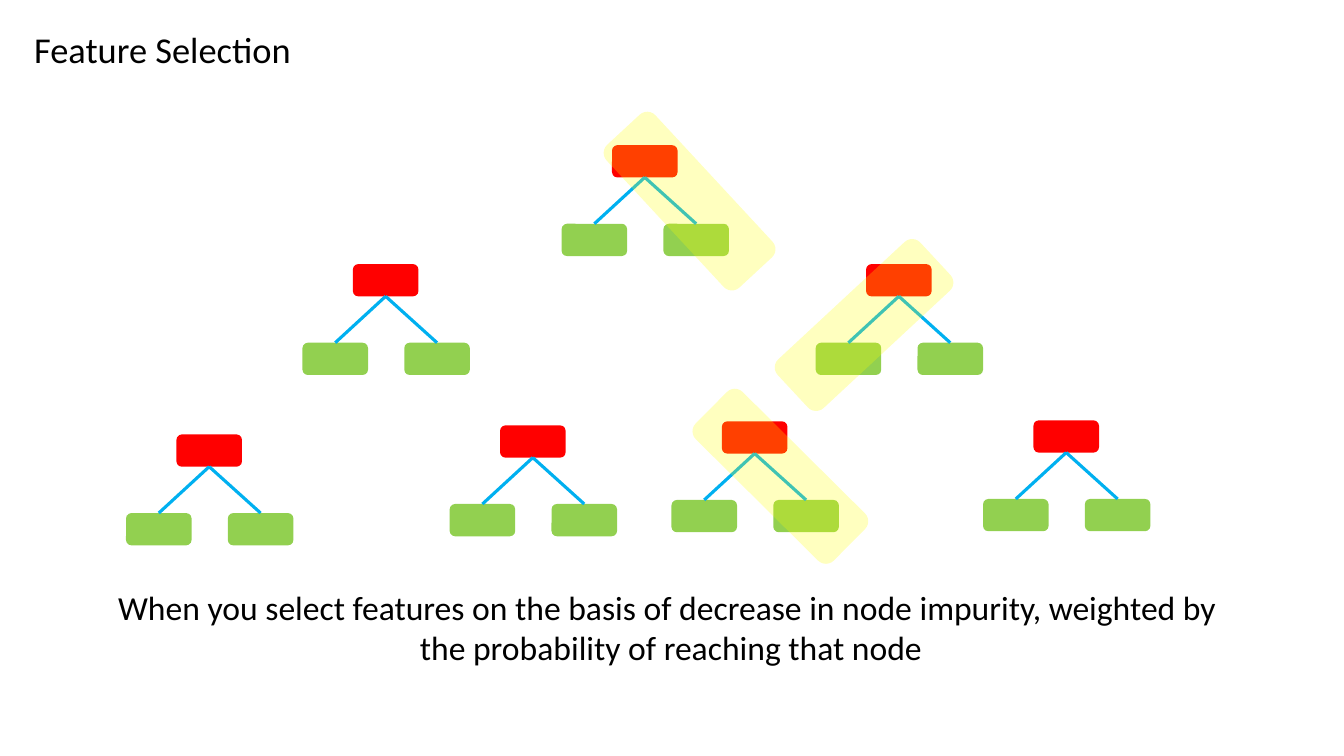
from lxml import etree
from pptx import Presentation
from pptx.dml.color import RGBColor
from pptx.enum.shapes import MSO_CONNECTOR, MSO_SHAPE
from pptx.enum.text import MSO_AUTO_SIZE, PP_ALIGN
from pptx.oxml.ns import qn
from pptx.util import Inches, Pt

ROUNDED, STRAIGHT = MSO_SHAPE.ROUNDED_RECTANGLE, MSO_CONNECTOR.STRAIGHT
LEFT, CENTER = PP_ALIGN.LEFT, PP_ALIGN.CENTER
TOP_SITE, BOTTOM_SITE = 0, 2

TITLE = "Feature Selection"
CAPTION = ("When you select features on the basis of decrease in node impurity, weighted by \v"
           "the probability of reaching that node")

# Left and top of each tree's root node, in inches
TREE_ROOTS = [(6.07, 1.44),
              (3.5, 2.62), (8.59, 2.62),
              (4.96, 4.22), (7.16, 4.18), (1.75, 4.31), (10.25, 4.17)]
# Left, top and rotation of each highlighted branch
HIGHLIGHTS = [(6.51, 1.03, 317.2), (8.24, 2.26, 47.1), (7.41, 3.76, 314.8)]

NODE_SIZE = (0.65, 0.32)
HIGHLIGHT_SIZE = (0.66, 1.93)
LEAF_SHIFTS = (-0.5, 0.51)
LEAF_DROP = 0.78
ROOT_COLOR, LEAF_COLOR = "FF0000", "92D050"
BRANCH_COLOR, HIGHLIGHT_COLOR = "00B0F0", "FFFF00"
HIGHLIGHT_OPACITY = 25


def color(hex_code):
    return RGBColor.from_string(hex_code)


def add_text(slide, text, left, top, width, height, size, align=LEFT):
    box = slide.shapes.add_textbox(*map(Inches, (left, top, width, height)))
    frame = box.text_frame
    frame.word_wrap = False
    frame.auto_size = MSO_AUTO_SIZE.SHAPE_TO_FIT_TEXT
    paragraph = frame.paragraphs[0]
    paragraph.text = text
    paragraph.alignment = align
    for run in paragraph.runs:
        run.font.name = "Calibri"
        run.font.size = Pt(size)
        run.font.color.rgb = color("000000")


def add_rounded(shapes, left, top, size, fill):
    box = shapes.add_shape(ROUNDED, *map(Inches, (left, top, *size)))
    box.shadow.inherit = False
    box.fill.solid()
    box.fill.fore_color.rgb = color(fill)
    box.line.fill.background()
    return box


def add_branch(shapes, root, leaf):
    branch = shapes.add_connector(STRAIGHT, 0, 0, 0, 0)
    branch.begin_connect(root, BOTTOM_SITE)
    branch.end_connect(leaf, TOP_SITE)
    branch.line.color.rgb = color(BRANCH_COLOR)
    branch.line.width = Pt(2.25)
    etree.SubElement(branch._element.spPr, qn("a:effectLst"))


def add_tree(slide, left, top):
    """Group one root node with its two leaves and branches."""
    shapes = slide.shapes.add_group_shape().shapes
    root = add_rounded(shapes, left, top, NODE_SIZE, ROOT_COLOR)
    for shift in LEAF_SHIFTS:
        leaf = add_rounded(shapes, left + shift, top + LEAF_DROP, NODE_SIZE, LEAF_COLOR)
        add_branch(shapes, root, leaf)


def add_highlight(slide, left, top, rotation):
    band = add_rounded(slide.shapes, left, top, HIGHLIGHT_SIZE, HIGHLIGHT_COLOR)
    band.rotation = rotation
    fill_color = band._element.spPr.find(qn("a:solidFill"))[0]
    etree.SubElement(fill_color, qn("a:alpha"), val=str(HIGHLIGHT_OPACITY * 1000))


def main():
    deck = Presentation()
    deck.slide_width, deck.slide_height = Inches(13.33), Inches(7.5)
    slide = deck.slides.add_slide(deck.slide_layouts[6])
    add_text(slide, TITLE, 0.24, 0.22, 2.78, 0.54, size=26)
    for root_place in TREE_ROOTS:
        add_tree(slide, *root_place)
    for highlight in HIGHLIGHTS:
        add_highlight(slide, *highlight)
    add_text(slide, CAPTION, 1.02, 5.77, 11.27, 0.94, size=24, align=CENTER)
    deck.save("out.pptx")


if __name__ == "__main__":
    main()
